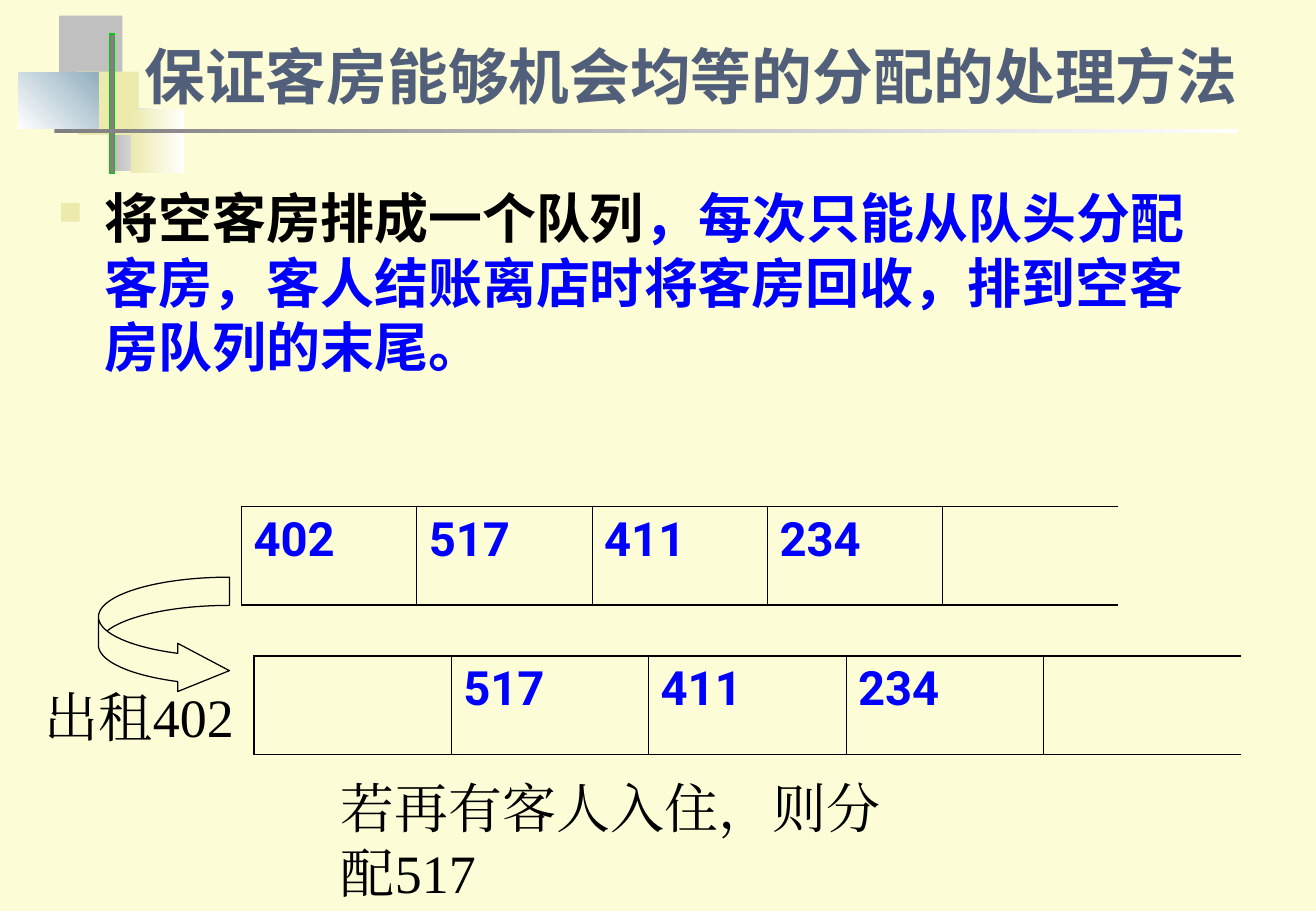
from dataclasses import dataclass

from lxml import etree
from pptx import Presentation
from pptx.dml.color import RGBColor
from pptx.enum.shapes import MSO_SHAPE
from pptx.enum.text import MSO_ANCHOR, MSO_AUTO_SIZE, PP_ALIGN
from pptx.oxml.ns import qn
from pptx.util import Cm, Pt

RECTANGLE = MSO_SHAPE.RECTANGLE
CURVED_ARROW = MSO_SHAPE.CURVED_RIGHT_ARROW
BOTTOM, TOP = MSO_ANCHOR.BOTTOM, MSO_ANCHOR.TOP
LEFT = PP_ALIGN.LEFT
NO_AUTOFIT = MSO_AUTO_SIZE.NONE


@dataclass(frozen=True)
class Theme:
    paper: str = "FCFDD7"
    title: str = "515F7B"
    ink: str = "000000"
    accent: str = "0000FF"
    sand: str = "ECEAAC"
    silver: str = "C0C0C0"
    grey: str = "808080"
    steel: str = "91AFBF"
    white: str = "FFFFFF"
    green: str = "00CC00"
    sans: str = "Roboto"
    serif: str = "Times New Roman"
    title_size: int = 36
    text_size: int = 32
    cell_size: int = 28
    thick: float = 1.08
    thin: float = 0.45
    outline: float = 0.75


THEME = Theme()

# Content; every frame is left, top, width, height in cm
PAGE_SIZE = (27.53, 19.05)
TITLE = "保证客房能够机会均等的分配的处理方法"
TITLE_FRAME = (2.77, 0.13, 23.8, 2.34)
RULE_TEXT = [
    ("将空客房排成一个队列", THEME.ink),
    ("，每次只能从队头分配客房，客人结账离店时将客房回收，排到空客房队列的末尾。", THEME.accent),
]
RULE_FRAME = (0.97, 3.73, 24.99, 4.93)
QUEUES = [
    (["402", "517", "411", "234", ""], (5.05, 10.59, 18.34, 2.06)),
    (["", "517", "411", "234", ""], (5.31, 13.72, 20.65, 2.06)),
]
LABELS = [
    ("出租402", (0.69, 14.17, 5.51, 1.63)),
    ("若再有客人入住，则分配517", (6.88, 16.08, 12.4, 2.97)),
]
ARROW_FRAME = (2.06, 12.07, 2.74, 2.46)
ARROW_SHAPE = (0.24, 0.41, 0.44)  # shaft width, head width, head length

# Ornament: frame, fill colours (two make a gradient), angle, outline
ORNAMENTS = [
    ((1.24, 0.33, 1.32, 1.32), [THEME.silver], 0, None),
    ((2.41, 2.26, 0.99, 1.32), [THEME.silver, THEME.white], 0, None),
    ((1.63, 1.5, 1.27, 1.32), [THEME.sand], 0, None),
    ((2.74, 2.29, 1.12, 1.32), [THEME.sand, THEME.white], 0, None),
    ((0.38, 1.52, 1.68, 1.17), [THEME.white, THEME.steel], 45, None),
    ((2.29, 0.71, 0.1, 2.92), [THEME.grey], 0, THEME.green),
    ((1.14, 2.69, 24.77, 0.1), [THEME.grey, THEME.white], 0, None),
]


def rgb(colour):
    return RGBColor.from_string(colour)


def lengths(frame):
    return [Cm(value) for value in frame]


def format_span(span, size, font, colour, bold=False):
    span.font.size = Pt(size)
    span.font.name = font
    span.font.bold = bold
    span.font.color.rgb = rgb(colour)
    east_asian = etree.SubElement(span.font._element, qn("a:ea"))
    east_asian.set("typeface", font)


def add_outlined(page, kind, frame, outline):
    shape = page.shapes.add_shape(kind, *lengths(frame))
    shape.shadow.inherit = False
    if outline:
        shape.line.color.rgb = rgb(outline)
        shape.line.width = Pt(THEME.outline)
    else:
        shape.line.fill.background()
    return shape


def add_ornament(page, frame, colours, angle, outline):
    fill = add_outlined(page, RECTANGLE, frame, outline).fill
    if len(colours) == 1:
        fill.solid()
        fill.fore_color.rgb = rgb(colours[0])
        return
    fill.gradient()
    fill.gradient_angle = angle
    for stop, colour, position in zip(fill.gradient_stops, colours, (0, 1)):
        stop.color.rgb = rgb(colour)
        stop.position = position


def add_text_box(page, frame):
    box = page.shapes.add_textbox(*lengths(frame))
    box.text_frame.word_wrap = True
    return box.text_frame.paragraphs[0]


def add_bullet(para):
    properties = para._p.get_or_add_pPr()
    properties.set("marL", str(Cm(0.96)))
    properties.set("indent", str(Cm(-0.96)))
    colour = etree.SubElement(properties, qn("a:buClr"))
    etree.SubElement(colour, qn("a:srgbClr")).set("val", THEME.sand)
    etree.SubElement(properties, qn("a:buSzPct")).set("val", "60000")
    etree.SubElement(properties, qn("a:buChar")).set("char", "■")


def set_borders(cell, widths):
    properties = cell._tc.get_or_add_tcPr()
    for side, width in widths.items():
        line = etree.SubElement(properties, qn("a:ln" + side))
        if width:
            line.set("w", str(Pt(width)))
            fill = etree.SubElement(line, qn("a:solidFill"))
            etree.SubElement(fill, qn("a:srgbClr")).set("val", THEME.ink)
        else:
            etree.SubElement(line, qn("a:noFill"))


def add_queue(page, rooms, frame):
    table = page.shapes.add_table(1, len(rooms), *lengths(frame)).table
    table.first_row = table.horz_banding = False
    last = len(rooms) - 1
    for index, room in enumerate(rooms):
        cell = table.cell(0, index)
        # The right end stays open
        set_borders(cell, {
            "L": THEME.thin if index else THEME.thick,
            "R": THEME.thin if index < last else None,
            "T": THEME.thick,
            "B": THEME.thick,
        })
        cell.fill.background()
        cell.vertical_anchor = TOP
        cell.text_frame.text = room
        for span in cell.text_frame.paragraphs[0].runs:
            format_span(span, THEME.cell_size, THEME.sans, THEME.accent, True)


def main():
    deck = Presentation()
    deck.slide_width, deck.slide_height = lengths(PAGE_SIZE)
    page = deck.slides.add_slide(deck.slide_layouts.get_by_name("Title Only"))
    page.background.fill.solid()
    page.background.fill.fore_color.rgb = rgb(THEME.paper)

    # Corner ornament
    for ornament in ORNAMENTS:
        add_ornament(page, *ornament)

    # Title, raised above the ornament
    title = page.shapes.title
    title.element.getparent().append(title.element)
    title.left, title.top, title.width, title.height = lengths(TITLE_FRAME)
    title.text_frame.text = TITLE
    title.text_frame.auto_size = NO_AUTOFIT
    title.text_frame.vertical_anchor = BOTTOM
    para = title.text_frame.paragraphs[0]
    para.alignment = LEFT
    format_span(para.runs[0], THEME.title_size, THEME.sans, THEME.title, True)

    # Allocation rule
    para = add_text_box(page, RULE_FRAME)
    add_bullet(para)
    for text, colour in RULE_TEXT:
        span = para.add_run()
        span.text = text
        format_span(span, THEME.text_size, THEME.sans, colour, True)

    # Queue before and after renting out the first room
    for rooms, frame in QUEUES:
        add_queue(page, rooms, frame)
    arrow = add_outlined(page, CURVED_ARROW, ARROW_FRAME, THEME.ink)
    arrow.fill.background()
    for index, value in enumerate(ARROW_SHAPE):
        arrow.adjustments[index] = value

    # Labels
    for text, frame in LABELS:
        para = add_text_box(page, frame)
        para.text = text
        format_span(para.runs[0], THEME.text_size, THEME.serif, THEME.ink)

    deck.save("out.pptx")


if __name__ == "__main__":
    main()
